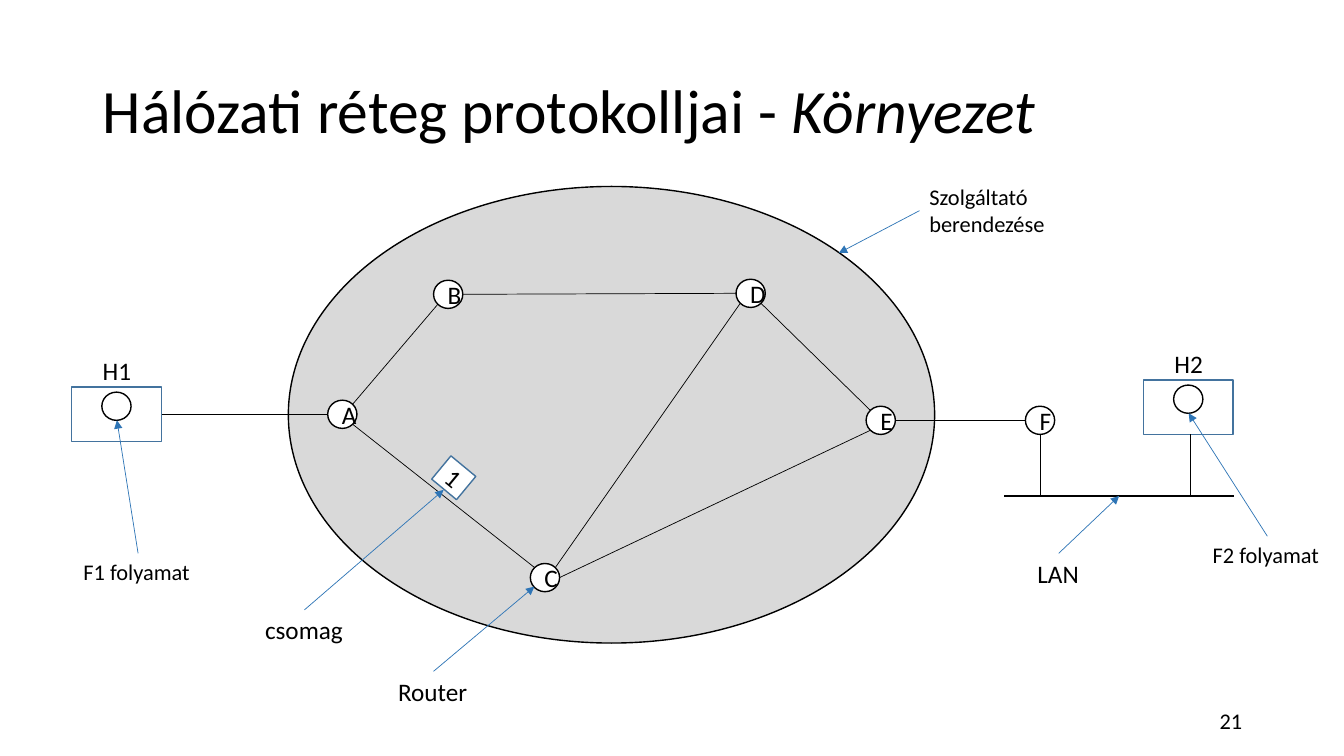
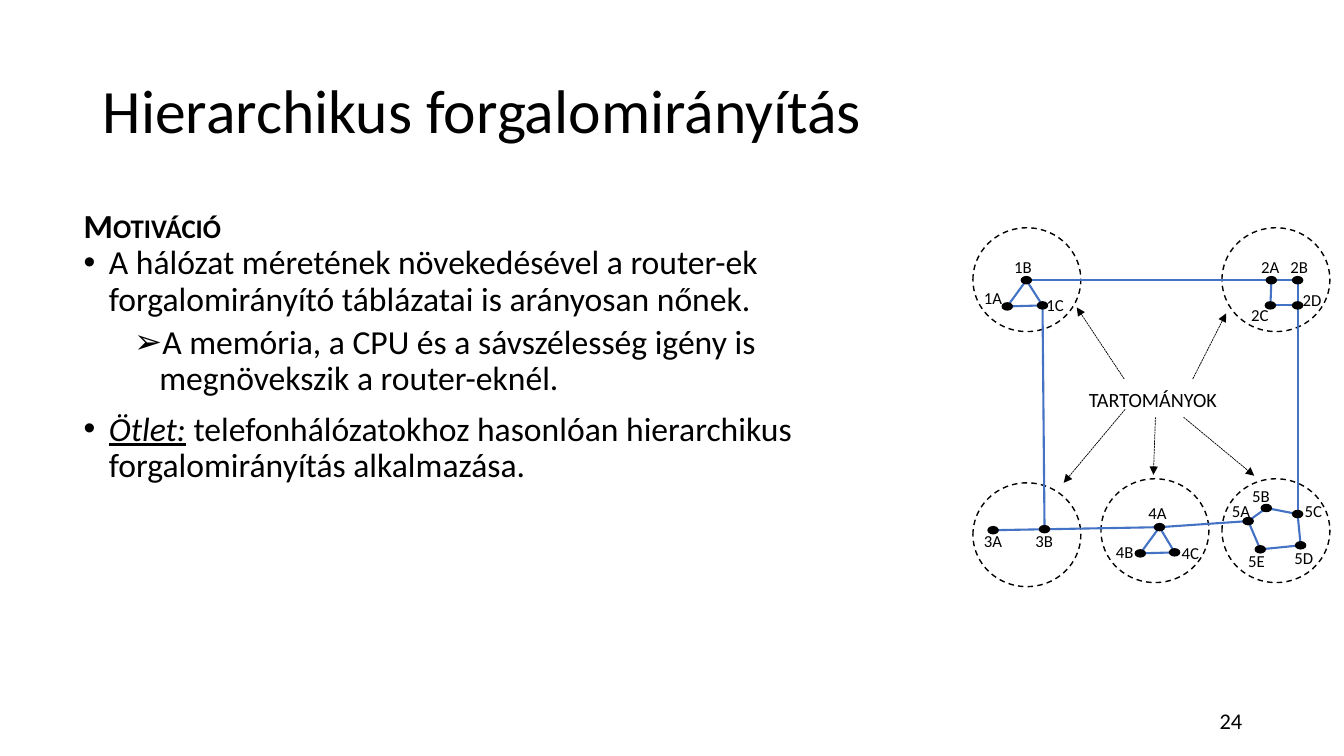
"""Builds two slides on network layer protocols and hierarchical routing."""
from math import cos, radians, sin

from lxml.etree import SubElement
from pptx import Presentation
from pptx.dml.color import RGBColor
from pptx.enum.dml import MSO_LINE_DASH_STYLE as DASH
from pptx.enum.shapes import MSO_CONNECTOR as CONNECTOR, MSO_SHAPE as SHAPE
from pptx.enum.text import MSO_ANCHOR as ANCHOR, MSO_AUTO_SIZE as AUTO_SIZE, PP_ALIGN as ALIGN
from pptx.oxml.ns import qn
from pptx.util import Inches, Pt

COLORS = {
    "ink": "000000",
    "paper": "FFFFFF",
    "cloud": "D9D9D9",
    "frame": "43739E",
    "pointer": "2E75B6",
    "link": "4472C4",
}
FONT = "Calibri"

presentation = Presentation()
presentation.slide_width = Inches(13.33)
presentation.slide_height = Inches(7.5)
COLUMN = presentation.slide_width / 13.33
ROW = presentation.slide_height / 7.5


def add_run(paragraph, text, size, **styles):
    """Appends a run in the deck's font; styles are font attributes or small_caps."""
    run = paragraph.add_run()
    run.text = text
    run.font.name = FONT
    run.font.size = Pt(size)
    run.font.color.rgb = RGBColor.from_string(COLORS["ink"])
    if styles.pop("small_caps", False):
        run.font._element.set("cap", "small")
    for name, value in styles.items():
        setattr(run.font, name, value)


def draw(slide, kind, box, text="", size=18, fill=None, line="ink", width=1, dash=None,
         arrow=False, wrap=False, small_caps=False):
    """Draws a line from point to point, a label or a preset shape on the grid."""
    a, b, c, d = (round(value * unit) for value, unit in zip(box, (COLUMN, ROW) * 2))
    if kind == "line":
        shape = slide.shapes.add_connector(CONNECTOR.STRAIGHT, a, b, c, d)
    elif kind == "label":
        shape = slide.shapes.add_textbox(a, b, c, d)
        shape.text_frame.word_wrap = wrap
        shape.text_frame.auto_size = AUTO_SIZE.SHAPE_TO_FIT_TEXT
    else:
        shape = slide.shapes.add_shape(kind, a, b, c, d)
        shape.shadow.inherit = False
        shape.fill.background()
        if fill:
            shape.fill.solid()
            shape.fill.fore_color.rgb = RGBColor.from_string(COLORS[fill])
    if kind != "label":
        shape.line.color.rgb = RGBColor.from_string(COLORS[line])
        shape.line.width = Pt(width)
        if dash:
            shape.line.dash_style = dash
    if kind == "line":
        if arrow:
            SubElement(shape.line._get_or_add_ln(), qn("a:tailEnd"), type="triangle")
        SubElement(shape._element.spPr, qn("a:effectLst"))
    if text:
        paragraph = shape.text_frame.paragraphs[0]
        if kind != "label":
            paragraph.alignment = ALIGN.CENTER
        add_run(paragraph, text, size, small_caps=small_caps)
    return shape


pages = [
    (5, "21", [("Hálózati réteg protokolljai - ", False), ("Környezet", True)]),
    (1, "24", [("Hierarchikus forgalomirányítás", False)]),
]
for layout, number, title_runs in pages:
    slide = presentation.slides.add_slide(presentation.slide_layouts[layout])
    title = slide.shapes.title
    title.left, title.top = round(0.92 * COLUMN), round(0.4 * ROW)
    title.width, title.height = round(11.5 * COLUMN), round(1.45 * ROW)
    title.text_frame.auto_size = AUTO_SIZE.NONE
    title.text_frame.vertical_anchor = ANCHOR.MIDDLE
    paragraph = title.text_frame.paragraphs[0]
    paragraph.alignment = ALIGN.LEFT
    paragraph.line_spacing = 0.9
    for text, italic in title_runs:
        add_run(paragraph, text, 44, italic=italic)
    footer = draw(slide, "label", (9.42, 6.95, 3, 0.4), number, 16, wrap=True)
    footer.text_frame.auto_size = AUTO_SIZE.NONE
    footer.text_frame.vertical_anchor = ANCHOR.MIDDLE
    footer.text_frame.paragraphs[0].alignment = ALIGN.RIGHT

environment, hierarchy = presentation.slides

NODE_WIDTH, NODE_HEIGHT = 0.29, 0.28
draw(environment, SHAPE.OVAL, (2.86, 1.85, 6.41, 4.53), fill="cloud")
for left, top in [(0.71, 3.84), (11.34, 3.77)]:
    draw(environment, SHAPE.RECTANGLE, (left, top, 0.89, 0.54), fill="paper", line="frame")
    draw(environment, SHAPE.OVAL, (left + 0.3, top + 0.05, NODE_WIDTH, NODE_HEIGHT), fill="paper")

routers = {"A": (3.25, 3.97), "B": (4.3, 2.78), "C": (5.26, 5.59),
           "D": (7.3, 2.77), "E": (8.59, 4.03), "F": (10.17, 4.03)}
for name, (left, top) in routers.items():
    draw(environment, SHAPE.OVAL, (left, top, NODE_WIDTH, NODE_HEIGHT), name, fill="paper")

router_links = [("B", 0, "D", 180), ("B", 135, "A", 315), ("A", 45, "C", 225),
                ("C", 315, "D", 135), ("D", 45, "E", 225), ("C", 0, "E", 135),
                ("E", 0, "F", 180)]
for start, start_angle, end, end_angle in router_links:
    points = []
    for name, angle in [(start, start_angle), (end, end_angle)]:
        left, top = routers[name]
        points += [left + NODE_WIDTH / 2 * (1 + cos(radians(angle))),
                   top + NODE_HEIGHT / 2 * (1 + sin(radians(angle)))]
    draw(environment, "line", points, width=0.5)

for points, width in [((1.61, 4.11, 3.25, 4.11), 0.5), ((10.32, 4.31, 10.32, 4.92), 0.5),
                      ((11.81, 4.31, 11.81, 4.92), 0.5), ((9.96, 4.92, 12.24, 4.92), 1.5)]:
    draw(environment, "line", points, width=width)

packet = draw(environment, SHAPE.RECTANGLE, (4.34, 4.59, 0.32, 0.3), "1", fill="paper", line="frame")
packet.rotation = 39.6

for points in [(1.37, 5.49, 1.16, 4.17), (12.57, 5.32, 11.79, 4.1), (10.5, 5.49, 11.1, 4.92),
               (9.12, 2.09, 8.32, 2.51), (4.3, 6.66, 5.3, 5.82), (3.02, 6.05, 4.4, 4.86)]:
    draw(environment, "line", points, line="pointer", width=0.5, arrow=True)

for text, size, box in [
    ("H1", 18, (0.92, 3.48, 0.49, 0.4)),
    ("H2", 18, (11.55, 3.41, 0.49, 0.4)),
    ("F1 folyamat", 16, (0.73, 5.49, 1.27, 0.37)),
    ("F2 folyamat", 16, (11.93, 5.32, 1.27, 0.37)),
    ("LAN", 18, (10.19, 5.49, 0.62, 0.4)),
    ("Router", 18, (3.85, 6.66, 0.9, 0.4)),
    ("csomag", 18, (2.53, 6.05, 0.98, 0.4)),
]:
    draw(environment, "label", box, text, size)
draw(environment, "label", (9.12, 1.77, 1.5, 0.64), "Szolgáltató berendezése", 16, wrap=True)

body = hierarchy.placeholders[1]
body.left, body.top = round(0.73 * COLUMN), round(2.03 * ROW)
body.width, body.height = round(8.64 * COLUMN), round(5.01 * ROW)
body.text_frame.auto_size = AUTO_SIZE.NONE
items = [
    (0, 0, 10, None, [("Motiváció", {"bold": True, "small_caps": True})]),
    (0, 0.25, 0, "•", [("A hálózat méretének növekedésével a router-ek forgalomirányító "
                        "táblázatai is arányosan nőnek.", {})]),
    (1, 0.75, 5, "➢", [("A memória, a CPU és a sávszélesség igény is megnövekszik a "
                        "router-eknél.", {})]),
    (0, 0.25, 10, "•", [("Ötlet:", {"italic": True, "underline": True}),
                        (" telefonhálózatokhoz hasonlóan hierarchikus forgalomirányítás "
                         "alkalmazása.", {})]),
]
for index, (level, margin, space, bullet, runs) in enumerate(items):
    paragraph = body.text_frame.add_paragraph() if index else body.text_frame.paragraphs[0]
    paragraph.level = level
    paragraph.line_spacing = 0.9
    paragraph.space_before = Pt(space)
    properties = paragraph._p.get_or_add_pPr()
    properties.set("marL", str(round(margin * COLUMN)))
    properties.set("indent", str(round(-0.25 * COLUMN) if bullet else 0))
    if bullet:
        SubElement(properties, qn("a:buChar"), char=bullet)
    else:
        SubElement(properties, qn("a:buNone"))
    for text, styles in runs:
        add_run(paragraph, text, 24, **styles)

for left, top in [(9.65, 2.26), (12.12, 2.26), (9.65, 4.79), (10.92, 4.75), (12.12, 4.75)]:
    draw(hierarchy, SHAPE.OVAL, (left, top, 1.07, 1.03), dash=DASH.DASH)

DOT_WIDTH, DOT_HEIGHT = 0.1, 0.07
dots = {
    "1A": ((9.99, 3.04), (9.66, 2.81)),
    "1B": ((10.18, 2.78), (9.96, 2.5)),
    "1C": ((10.34, 3.03), (10.28, 2.87)),
    "2A": ((12.61, 2.78), (12.41, 2.5)),
    "2B": ((12.87, 2.78), (12.7, 2.5)),
    "2C": ((12.6, 3.03), (12.31, 2.97)),
    "2D": ((12.87, 3.03), (12.82, 2.83)),
    "3A": ((9.85, 5.26), (9.66, 5.22)),
    "3B": ((10.36, 5.25), (10.17, 5.22)),
    "4A": ((11.5, 5.23), (11.29, 4.94)),
    "4B": ((11.31, 5.49), (10.97, 5.33)),
    "4C": ((11.65, 5.48), (11.62, 5.34)),
    "5A": ((12.38, 5.17), (12.12, 4.92)),
    "5B": ((12.56, 5.04), (12.32, 4.77)),
    "5C": ((12.87, 5.1), (12.84, 4.92)),
    "5D": ((12.9, 5.41), (12.74, 5.38)),
    "5E": ((12.5, 5.45), (12.28, 5.41)),
}
dot_links = ("1A-1B 1B-1C 1A-1C 2A-2C 2B-2D 2C-2D 4A-4B 4A-4C 4B-4C "
             "5A-5B 5B-5C 5C-5D 5D-5E 5E-5A 1B-2B 2D-5C 1C-3B 3A-4A 4A-5A")
for link in dot_links.split():
    start, end = link.split("-")
    draw(hierarchy, "line", dots[start][0] + dots[end][0], line="link", width=1.5)
for name, ((x, y), (left, top)) in dots.items():
    draw(hierarchy, SHAPE.OVAL, (x - DOT_WIDTH / 2, y - DOT_HEIGHT / 2, DOT_WIDTH, DOT_HEIGHT),
         fill="ink")
    draw(hierarchy, "label", (left, top, 0.39, 0.3), name, 12)

draw(hierarchy, "label", (10.7, 3.74, 1.52, 0.4), "tartományok", small_caps=True)
for points in [(11.16, 4.06, 10.55, 4.79), (11.46, 4.14, 11.44, 4.71), (11.74, 4.14, 12.44, 4.72),
               (11.15, 3.76, 10.68, 3.05), (11.83, 3.76, 12.16, 3.11)]:
    draw(hierarchy, "line", points, width=0.5, dash=DASH.SQUARE_DOT, arrow=True)

presentation.save("out.pptx")
